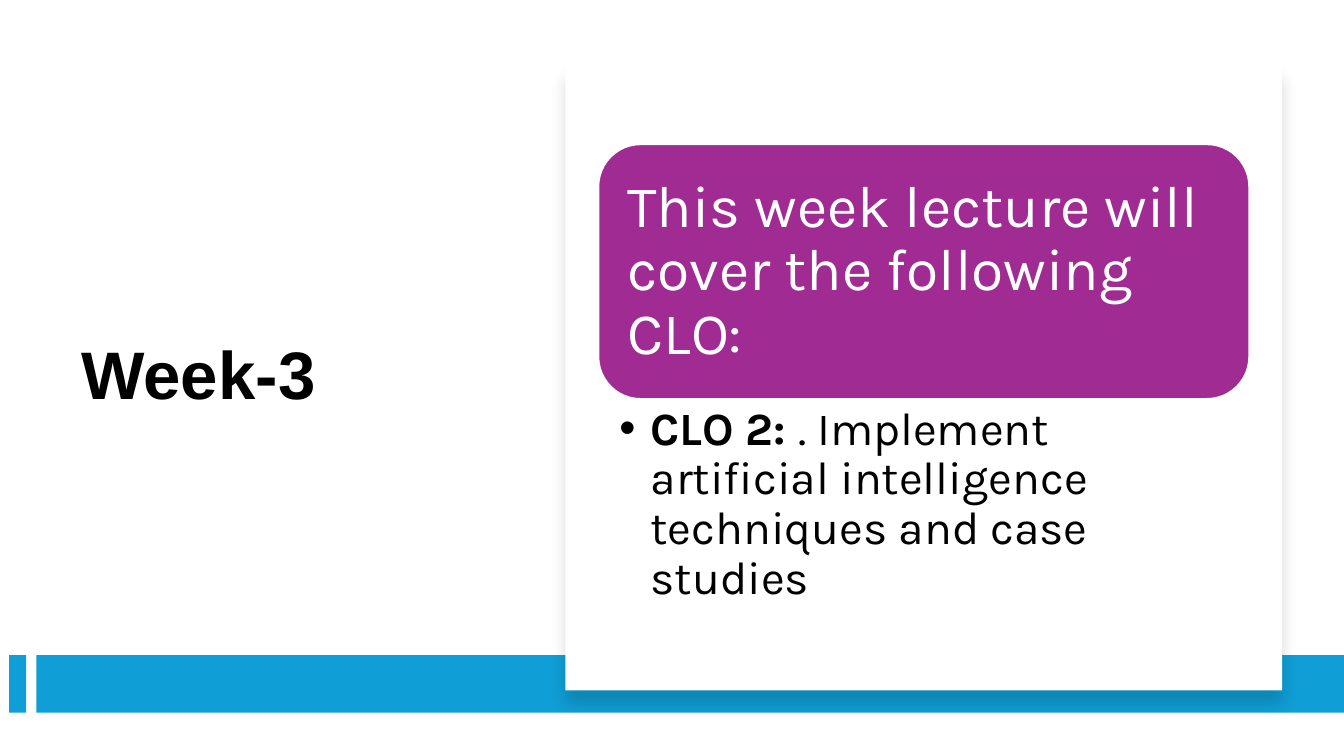
from lxml import etree
from pptx import Presentation
from pptx.dml.color import RGBColor
from pptx.enum.shapes import MSO_SHAPE
from pptx.enum.text import MSO_ANCHOR
from pptx.oxml import parse_xml
from pptx.oxml.ns import nsdecls, qn
from pptx.util import Inches, Pt

COLS, ROWS = 133.33, 75
UNIT = Inches(0.1)
COLORS = {"band": "0F9ED5", "card": "FFFFFF", "header": "A02B93",
          "light": "FFFFFF", "text": "000000", "shadow": "000000"}


def grid(*lengths):
    """Turn grid columns and rows into slide lengths."""
    return [round(n * UNIT) for n in lengths]


def add_block(s, kind, box, color):
    """Draw a plain filled shape in the box."""
    sp = s.shapes.add_shape(kind, *grid(*box))
    sp.shadow.inherit = False
    sp.fill.solid()
    sp.fill.fore_color.rgb = RGBColor.from_string(COLORS[color])
    sp.line.fill.background()
    return sp


def add_text(s, box, runs, font, insets, anchor, bullet=None):
    """Write one paragraph of (text, bold) runs in the box."""
    tf = s.shapes.add_textbox(*grid(*box)).text_frame
    sides = ("margin_left", "margin_top", "margin_right", "margin_bottom")
    frame = dict(zip(sides, grid(*insets)), word_wrap=True, vertical_anchor=anchor)
    for name, value in frame.items():
        setattr(tf, name, value)
    p = tf.paragraphs[0]
    p.line_spacing = 0.9
    if bullet:
        pPr = p._p.get_or_add_pPr()
        indent = grid(3.1)[0]
        pPr.set("marL", str(indent))
        pPr.set("indent", str(-indent))
        etree.SubElement(pPr, qn("a:buFont"), typeface="Arial")
        etree.SubElement(pPr, qn("a:buChar"), char=bullet)
    for text, bold in runs:
        r = p.add_run()
        r.text = text
        for name, value in dict(font, bold=bold).items():
            if name == "color":
                r.font.color.rgb = RGBColor.from_string(COLORS[value])
            else:
                setattr(r.font, name, value)


def add_title(s, box):
    """Place the week title, centred vertically in the box."""
    add_text(s, box, [("Week-3", True)],
             {"name": "Arial", "size": Pt(48), "color": "text"},
             (1, 0.5, 1, 0.5), MSO_ANCHOR.MIDDLE)


def add_band(s, box):
    """Split the box into a short tab, a gap and a long bar."""
    x, y, w, h = box
    tab, gap = 1.7, 1
    bar = tab + gap
    for left, width in ((x, tab), (x + bar, w - bar)):
        add_block(s, MSO_SHAPE.RECTANGLE, (left, y, width, h), "band")


def add_card(s, box):
    """Lay a shadowed card with a header and a bulleted outcome in the box."""
    x, y, w, h = box
    card = add_block(s, MSO_SHAPE.RECTANGLE, box, "card")
    spPr = card._element.spPr
    spPr.remove(spPr.find(qn("a:effectLst")))
    spPr.append(parse_xml(
        f'<a:effectLst {nsdecls("a")}><a:outerShdw blurRad="{Pt(11)}" '
        f'dist="{Pt(10)}" dir="5400000" algn="t" rotWithShape="0">'
        f'<a:srgbClr val="{COLORS["shadow"]}"><a:alpha val="15000"/></a:srgbClr>'
        '</a:outerShdw></a:effectLst>'))

    pad, top, head_h, body_h, inner = 3.25, 7.9, 25.3, 22.8, 1.2
    left, width = x + pad, w - 2 * pad
    header_box = (left, y + top, width, head_h)
    header = add_block(s, MSO_SHAPE.ROUNDED_RECTANGLE, header_box, "header")
    header.line.color.rgb = RGBColor.from_string(COLORS["light"])
    header.line.width = Pt(1.5)
    add_text(s, (left + inner, y + top + inner, width - 2 * inner, head_h - 2 * inner),
             [("This week lecture will cover the following CLO:", False)],
             {"name": "Karla", "size": Pt(42), "color": "light"},
             (1.7, 1.7, 1.7, 1.7), MSO_ANCHOR.MIDDLE)
    add_text(s, (left, y + top + head_h, width, body_h),
             [("CLO 2: ", True),
              (". Implement artificial intelligence techniques and case studies", False)],
             {"name": "Karla", "size": Pt(33), "color": "text"},
             (2.1, 0.6, 3.3, 0.6), MSO_ANCHOR.TOP, "•")


def main():
    """Build and save the week slide."""
    prs = Presentation()
    prs.slide_width, prs.slide_height = grid(COLS, ROWS)
    s = prs.slides.add_slide(prs.slide_layouts[6])
    add_title(s, (7.1, 12, 41.5, 51))
    add_band(s, (0.9, 65, COLS - 0.9, 5.7))
    add_card(s, (56.1, 6.4, 71.1, 62.1))
    prs.save("out.pptx")


if __name__ == "__main__":
    main()
